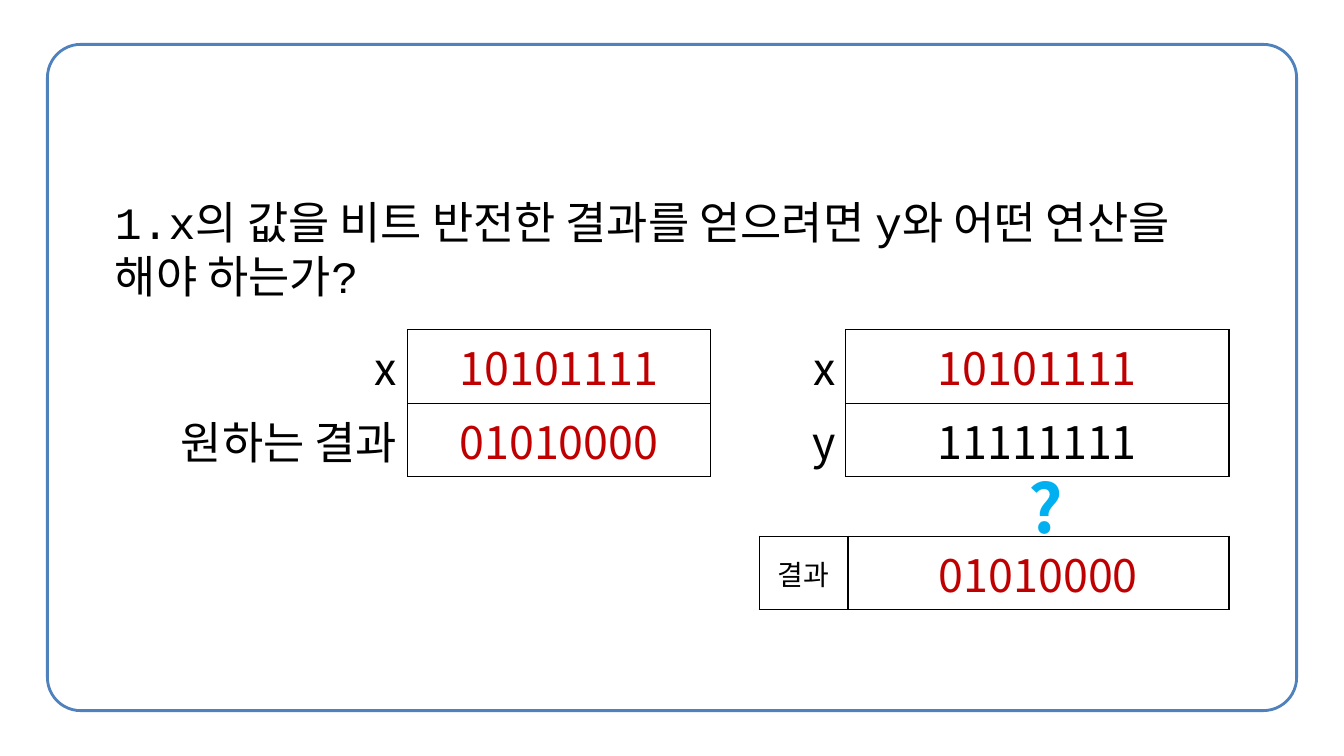
"""Build a quiz slide on inverting bits with a binary operation."""
from pptx import Presentation
from pptx.dml.color import RGBColor
from pptx.enum.shapes import MSO_SHAPE
from pptx.enum.text import MSO_ANCHOR, MSO_AUTO_SIZE, PP_ALIGN
from pptx.oxml import parse_xml
from pptx.oxml.ns import nsdecls
from pptx.util import Inches, Pt

BLACK = RGBColor(0, 0, 0)
WHITE = RGBColor(255, 255, 255)
RED = RGBColor(0xC0, 0, 0)
BLUE = RGBColor(0x4F, 0x81, 0xBD)
CYAN = RGBColor(0, 0xB0, 0xF0)
SANS = "Noto Sans CJK KR"


def write(tf, text, size, color, align, font=SANS, bold=False):
    tf.text = text
    p = tf.paragraphs[0]
    p.alignment = align
    r = p.runs[0]
    r.font.name, r.font.size, r.font.bold = font, Pt(size), bold
    r.font.color.rgb = color


def add_borders(cell, sides):
    for i, side in enumerate(sides):
        cell._tc.get_or_add_tcPr().insert(i, parse_xml(
            f'<a:ln{side} {nsdecls("a")} w="12700"><a:solidFill>'
            f'<a:srgbClr val="{BLACK}"/></a:solidFill></a:ln{side}>'))


prs = Presentation()
prs.slide_width, prs.slide_height = Inches(13.33), Inches(7.5)
s = prs.slides.add_slide(prs.slide_layouts[5])

frame = s.shapes.add_shape(MSO_SHAPE.ROUNDED_RECTANGLE, Inches(0.47), Inches(0.44),
                           Inches(12.39), Inches(6.61))
frame.adjustments[0] = 0.05
frame.shadow.inherit = False
frame.fill.solid()
frame.fill.fore_color.rgb = WHITE
frame.line.color.rgb = BLUE
frame.line.width = Pt(2)
s.shapes._spTree.insert(2, frame._element)

title = s.shapes.title
title.left, title.top = Inches(1.04), Inches(1.88)
title.width, title.height = Inches(11.51), Inches(2.26)
tf = title.text_frame
tf.word_wrap = True
tf.auto_size = MSO_AUTO_SIZE.NONE
tf.vertical_anchor = MSO_ANCHOR.TOP
write(tf, "1.x의 값을 비트 반전한 결과를 얻으려면 y와 어떤 연산을 해야 하는가?",
      32, BLACK, PP_ALIGN.LEFT, "Courier New")

ROW = 0.73
tables = [
    (1.04, 3.27, (3, 3.01), 32, PP_ALIGN.RIGHT, "R",
     [("x", "10101111", RED), ("원하는 결과", "01010000", RED)]),
    (7.68, 3.27, (0.71, 3.8), 32, PP_ALIGN.RIGHT, "R",
     [("x", "10101111", RED), ("y", "11111111", BLACK)]),
    (7.53, 5.32, (0.88, 3.78), 20, PP_ALIGN.CENTER, "LRTB",
     [("결과", "01010000", RED)]),
]
for left, top, widths, label_size, label_align, label_sides, rows in tables:
    table = s.shapes.add_table(len(rows), 2, Inches(left), Inches(top),
                               Inches(sum(widths)), Inches(ROW * len(rows))).table
    table.first_row = table.horz_banding = False
    for column, width in zip(table.columns, widths):
        column.width = Inches(width)
    for i, (label, bits, color) in enumerate(rows):
        label_cell, bits_cell = table.cell(i, 0), table.cell(i, 1)
        write(label_cell.text_frame, label, label_size, BLACK, label_align)
        write(bits_cell.text_frame, bits, 32, color, PP_ALIGN.CENTER)
        for cell, sides in ((label_cell, label_sides), (bits_cell, "LRTB")):
            cell.vertical_anchor = MSO_ANCHOR.MIDDLE
            cell.margin_top = cell.margin_bottom = Inches(0.04)
            cell.fill.background()
            add_borders(cell, sides)

sp = s.shapes.add_textbox(Inches(9.52), Inches(4.52), Inches(1.71), Inches(1.01))
tf = sp.text_frame
tf.word_wrap = True
tf.vertical_anchor = MSO_ANCHOR.MIDDLE
write(tf, "?", 48, CYAN, PP_ALIGN.CENTER, bold=True)

prs.save("out.pptx")
